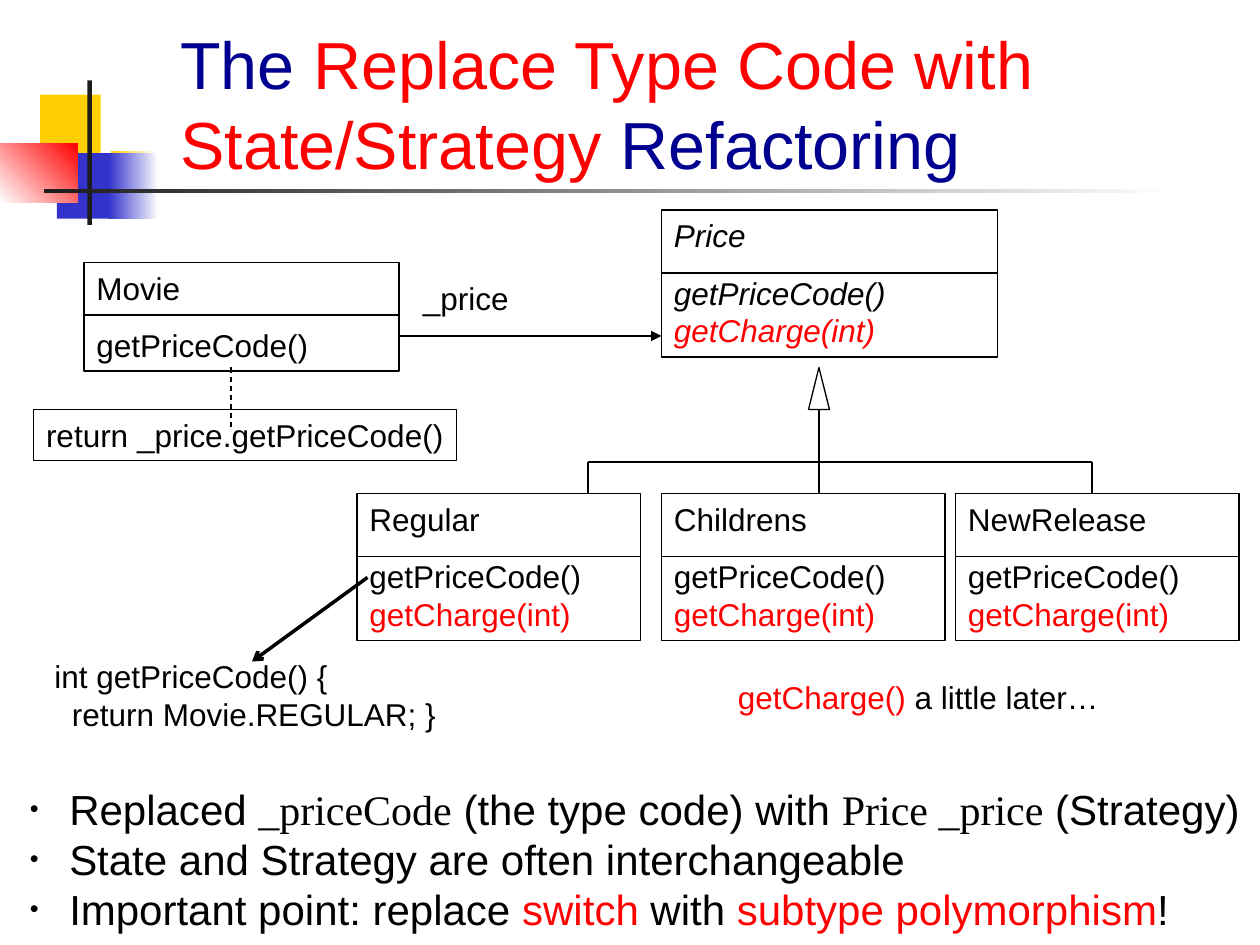
from lxml.etree import SubElement as Sub
from pptx import Presentation
from pptx.dml.color import RGBColor as Rgb
from pptx.enum.dml import MSO_LINE as Dash
from pptx.enum.shapes import MSO_CONNECTOR as Link, MSO_SHAPE as Kind
from pptx.enum.text import MSO_ANCHOR as Anchor, PP_ALIGN as Align
from pptx.oxml.ns import qn
from pptx.util import Pt

BLACK, RED, NAVY = "000000", "FF0000", "000090"
SANS, SERIF = "Arial", "Times New Roman"
BREAK = ("\v", BLACK)


def tint(color, code):
    color.rgb = Rgb.from_string(code)


def add_shape(slide, kind, x, y, w, h):
    shape = slide.shapes.add_shape(kind, Pt(x), Pt(y), Pt(w), Pt(h))
    shape.shadow.inherit = False
    return shape


def add_block(slide, x, y, w, h, start, end=None):
    shape = add_shape(slide, Kind.RECTANGLE, x, y, w, h)
    shape.line.fill.background()
    if end is None:
        shape.fill.solid()
        tint(shape.fill.fore_color, start)
        return shape
    shape.fill.gradient()
    shape.fill.gradient_angle = 0
    for stop, code in zip(shape.fill.gradient_stops, (start, end)):
        tint(stop.color, code)
    return shape


def add_frame(slide, x, y, w, h, kind=Kind.RECTANGLE):
    shape = add_shape(slide, kind, x, y, w, h)
    shape.fill.background()
    tint(shape.line.color, BLACK)
    shape.line.width = Pt(0.75)
    return shape


def add_line(slide, x1, y1, x2, y2, width=0.75, head=None, dash=None):
    line = slide.shapes.add_connector(Link.STRAIGHT, Pt(x1), Pt(y1), Pt(x2), Pt(y2))
    Sub(line._element.spPr, qn("a:effectLst"))
    tint(line.line.color, BLACK)
    line.line.width = Pt(width)
    if dash:
        line.line.dash_style = dash
    if head:
        Sub(line.line._get_or_add_ln(), qn("a:tailEnd"), type=head)


def add_bullet(par):
    props = par._p.get_or_add_pPr()
    props.set("marL", str(Pt(22.5)))
    props.set("indent", str(Pt(-22.5)))
    Sub(Sub(props, qn("a:buClr")), qn("a:srgbClr"), val=BLACK)
    Sub(props, qn("a:buSzPct"), val="60000")
    Sub(props, qn("a:buFont"), typeface=SANS)
    Sub(props, qn("a:buChar"), char="•")


def write(shape, pars, size=18, wrap=False, anchor=Anchor.TOP, gap=0,
          italic=False, bullet=False):
    frame = shape.text_frame
    frame.word_wrap = wrap
    frame.vertical_anchor = anchor
    for i, parts in enumerate(pars):
        par = frame.add_paragraph() if i else frame.paragraphs[0]
        par.alignment = Align.LEFT
        if i and gap:
            par.space_before = Pt(gap)
        if bullet:
            add_bullet(par)
        par.font.size = Pt(size)
        for text, code, *face in parts:
            if text == "\v":
                par.add_line_break()
                continue
            run = par.add_run()
            run.text = text
            font = run.font
            font.name = face[0] if face else SANS
            font.size = Pt(size)
            font.italic = italic
            tint(font.color, code)


def add_text(slide, x, y, w, h, pars, **style):
    box = slide.shapes.add_textbox(Pt(x), Pt(y), Pt(w), Pt(h))
    write(box, pars, **style)


def add_class(slide, x, y, w, h, split, name, parts, italic=False):
    shape = add_frame(slide, x, y, w, h)
    write(shape, [[(name, BLACK)], parts], wrap=True, gap=11.2, italic=italic)
    add_line(slide, x, y + split, x + w, y + split)


def add_decor(slide):
    add_block(slide, 23, 54, 34.5, 37.5, "FFCF01")
    add_block(slide, 63.5, 86.5, 26, 37.5, "FFCF01", "FFFFFF")
    add_block(slide, 32.5, 87.5, 33, 37.5, "3333CC")
    add_block(slide, 62, 87.5, 28.5, 37.5, "3333CC", "FFFFFF")
    red = add_block(slide, 0, 82, 44.5, 33.5, "FFFFFF", RED)
    red.fill.gradient_angle = 45
    add_block(slide, 50, 46, 2.5, 82.5, "1C1C1C")
    add_block(slide, 25, 108, 648, 2.25, "1C1C1C", "FFFFFF")


def add_diagram(slide):
    code = ("getPriceCode()", BLACK)
    both = [code, BREAK, ("getCharge(int)", RED)]
    add_class(slide, 48, 150, 180, 62, 30, "Movie", [code])
    add_class(slide, 378, 120, 192, 84, 36, "Price", both, italic=True)
    for x, name in ((204, "Regular"), (378, "Childrens"), (546, "NewRelease")):
        add_class(slide, x, 282, 162, 84, 36, name, both)

    add_line(slide, 228, 192, 378, 192, head="triangle")
    add_frame(slide, 462, 210, 12, 24, Kind.FLOWCHART_EXTRACT)
    add_line(slide, 336, 264, 624, 264)
    for x, top in ((336, 264), (468, 234), (624, 264)):
        add_line(slide, x, top, x, 282)

    note = add_frame(slide, 19.25, 234, 241.5, 29)
    write(note, [[("return _price.getPriceCode()", BLACK)]])
    add_line(slide, 132, 210, 132, 246, dash=Dash.DASH)
    add_text(slide, 234.5, 156, 68, 29, [[("_price", BLACK)]], wrap=True)
    add_text(slide, 24, 372, 618, 50.5, [
        [("int getPriceCode() {", BLACK), BREAK,
         ("  return Movie.REGULAR; }", BLACK)]], wrap=True)
    add_text(slide, 414.5, 384, 220.5, 29, [
        [("getCharge()", RED), (" a little later…", BLACK)]])
    add_line(slide, 210, 330, 144, 378, width=2, head="arrow")


def main():
    deck = Presentation()
    deck.slide_width, deck.slide_height = Pt(720), Pt(540)
    slide = deck.slides.add_slide(deck.slide_layouts[6])
    add_decor(slide)
    add_text(slide, 96, 18, 612, 90, [
        [("The ", NAVY), ("Replace Type Code with State/Strategy ", RED),
         ("Refactoring", NAVY)]], size=38, wrap=True, anchor=Anchor.BOTTOM)
    add_diagram(slide)
    add_text(slide, 10, 444, 705.5, 93.5, [
        [("Replaced ", BLACK), ("_priceCode", BLACK, SERIF),
         (" (the type code) with ", BLACK), ("Price _price", BLACK, SERIF),
         (" (Strategy)", BLACK)],
        [("State and Strategy are often interchangeable", BLACK)],
        [("Important point: replace ", BLACK), ("switch", RED),
         (" with ", BLACK), ("subtype polymorphism", RED), ("!", BLACK)],
    ], size=24, bullet=True)
    deck.save("out.pptx")


if __name__ == "__main__":
    main()
